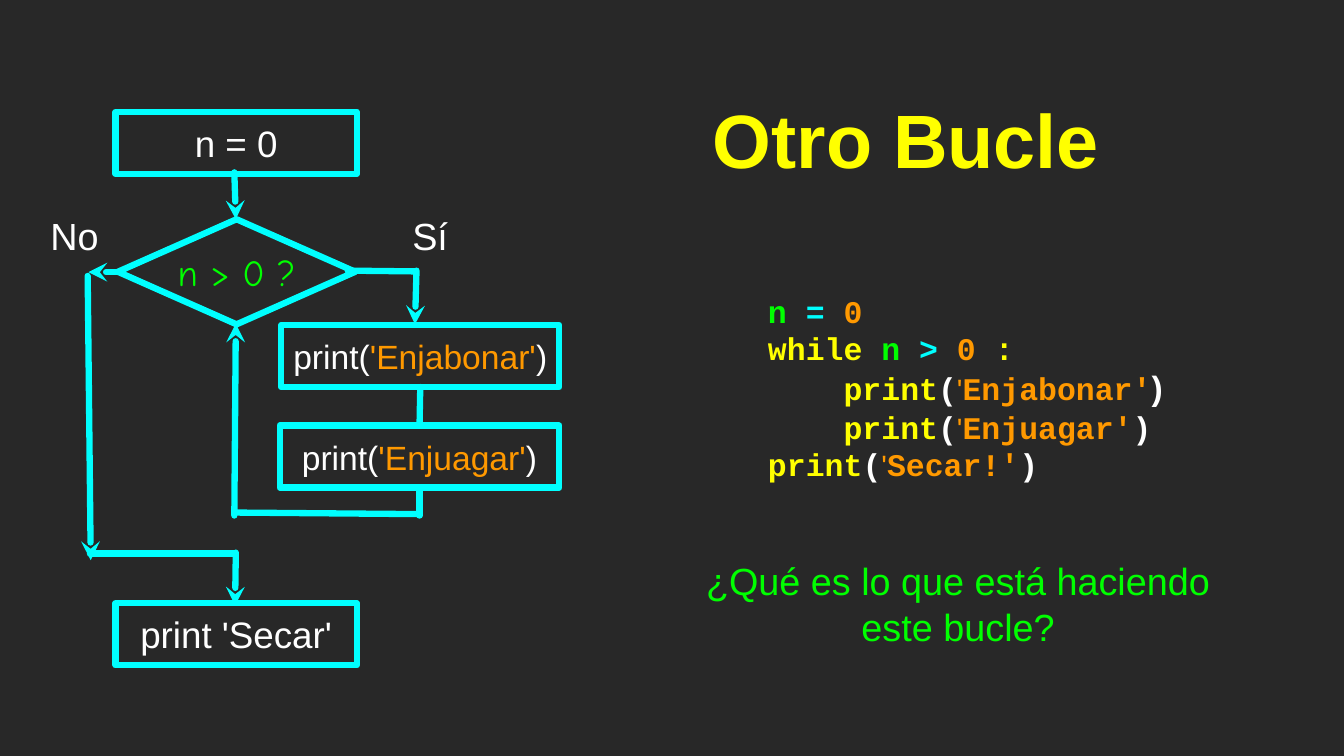
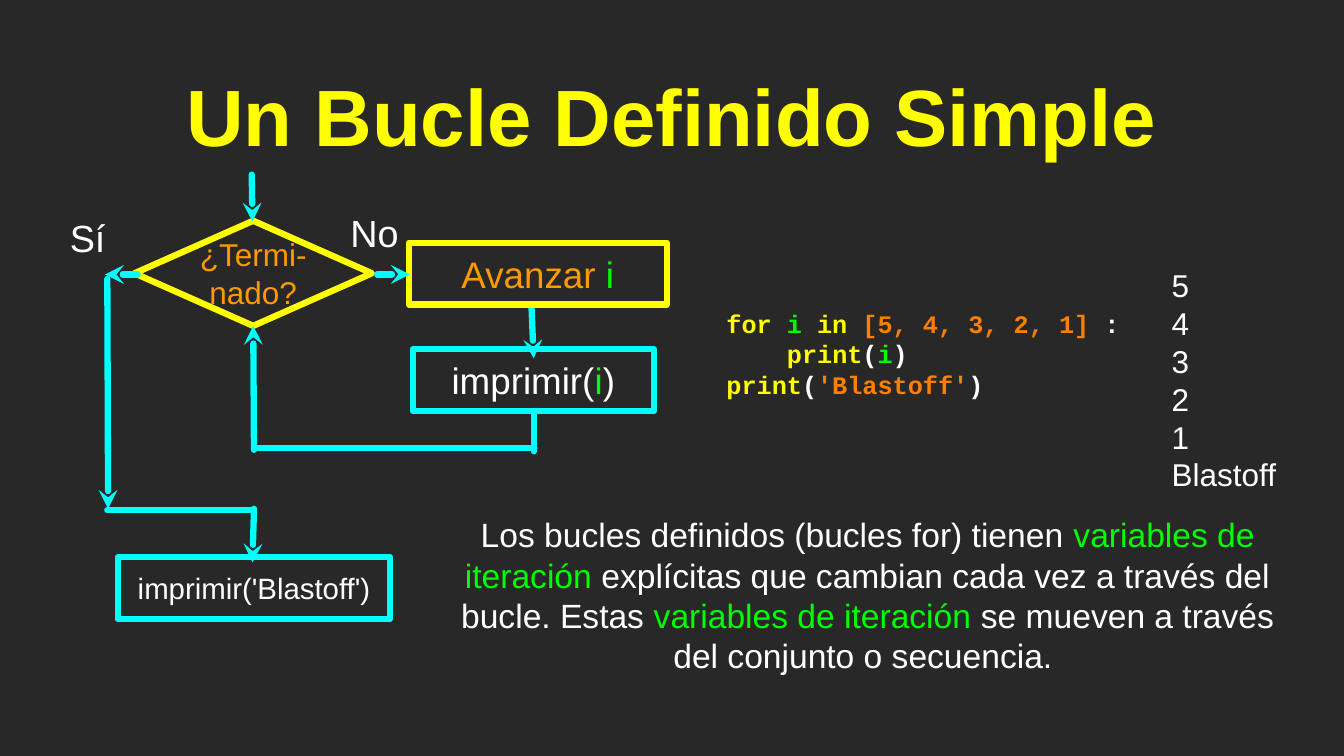
from lxml import etree
from pptx import Presentation
from pptx.dml.color import RGBColor
from pptx.enum import shapes, text
from pptx.oxml import ns
from pptx.util import Inches, Pt

# Shared style
DARK = RGBColor(0x28, 0x28, 0x28)
WHITE = RGBColor(0xFF, 0xFF, 0xFF)
YELLOW = RGBColor(0xFF, 0xFF, 0x00)
CYAN = RGBColor(0x00, 0xFF, 0xFF)
GREEN = RGBColor(0x00, 0xFF, 0x00)
AMBER = RGBColor(0xFF, 0x99, 0x00)
ORANGE = RGBColor(0xFF, 0x7F, 0x00)
SANS, MONO, HAND = "Arial", "Courier New", "Comic Neue"
STROKE = 6
BOX_H = 0.82
LABEL_H = 0.68
DIAMOND_SIZE = (3.14, 1.39)
INDENT_CHARS = 4
MONO_ADVANCE = 0.6  # character width in ems
LINE_PITCH = 1.2  # line height in ems
CENTER, LEFT = text.PP_ALIGN.CENTER, text.PP_ALIGN.LEFT
ARROW = True

# Run overrides used inside the code
QUOTE = {"size": 28, "font": SANS, "bold": False}
PAREN = {"size": 32, "font": SANS}


def print_call(word, closing=None):
    return [("print", YELLOW), ("(", WHITE), ("'", AMBER, QUOTE),
            (word + "'", AMBER), (")", WHITE, closing or {})]


# Content: a run is (text, colour[, overrides]); a line is (x1, y1, x2, y2[, ARROW])
SLIDES = [
    {
        "title": ("Otro Bucle", 72, (7.47, 0.89, 9.03, 1.88)),
        "diamond": ((1.56, 2.9), CYAN, ("n > 0 ?", GREEN), 35, HAND),
        "lines": [
            (3.1, 2.28, 3.12, 2.9, ARROW),
            (3.1, 6.82, 3.12, 4.28, ARROW),
            (5.49, 3.59, 4.6, 3.58),
            (5.51, 3.58, 5.49, 4.29, ARROW),
            (5.55, 6.45, 5.55, 6.82),
            (3.12, 6.78, 5.51, 6.8),
            (1.6, 3.6, 1.17, 3.6, ARROW),
            (3.12, 7.31, 3.11, 8.01, ARROW),
            (1.16, 3.65, 1.2, 7.41, ARROW),
            (1.19, 7.32, 3.1, 7.32),
        ],
        "boxes": [  # left, top, width, outline, size, runs
            (1.53, 7.98, 3.19, CYAN, 35, [("print 'Secar'", WHITE)]),
            (1.53, 1.48, 3.19, CYAN, 35, [("n = 0", WHITE)]),
            (3.72, 4.3, 3.68, CYAN, 32,
             [("print(", WHITE), ("'Enjabonar'", AMBER), (")", WHITE)]),
            (3.7, 5.63, 3.7, CYAN, 32,
             [("print(", WHITE), ("'Enjuagar'", AMBER), (")", WHITE)]),
        ],
        "labels": [("No", 0.59, 2.77, 0.79), ("Sí", 5.1, 2.77, 1.18)],
        "code": ((10.16, 3.61, 5.49, 3.03), 30, [  # (indent level, runs)
            (0, [("n ", GREEN), ("= ", CYAN), ("0", AMBER)]),
            (0, [("while ", YELLOW), ("n ", GREEN), ("> ", CYAN),
                 ("0", AMBER), (" :", YELLOW)]),
            (1, print_call("Enjabonar", PAREN)),
            (1, print_call("Enjuagar")),
            (0, print_call("Secar!")),
        ]),
        "texts": [  # place, size, alignment, paragraphs
            ((9.23, 7.64, 6.89, 0.68), 36, CENTER,
             [[("¿Qué es lo que está haciendo este bucle?", GREEN)]]),
        ],
        "top_lines": [(5.56, 5.12, 5.55, 5.63)],
    },
    {
        "title": ("Un Bucle Definido Simple", 76, (1.26, 0.89, 15.24, 1.24)),
        "diamond": ((1.78, 2.92), YELLOW, ("¿Termi-nado?", AMBER), 30, SANS),
        "lines": [
            (3.33, 2.31, 3.34, 2.93, ARROW),
            (3.36, 5.95, 3.35, 4.31, ARROW),
            (7.03, 4.03, 7.06, 4.74, ARROW),
            (7.06, 5.44, 7.06, 5.97),
            (3.36, 5.93, 7.07, 5.93),
            (1.82, 3.63, 1.39, 3.63, ARROW),
            (3.36, 6.73, 3.34, 7.44, ARROW),
            (1.42, 3.69, 1.43, 6.73, ARROW),
            (1.42, 6.75, 3.34, 6.75),
        ],
        "boxes": [
            (1.56, 7.37, 3.6, CYAN, 28, [("imprimir('Blastoff')", WHITE)]),
            (5.46, 4.62, 3.19, CYAN, 35,
             [("imprimir(", WHITE), ("i", GREEN), (")", WHITE)]),
            (5.41, 3.21, 3.41, YELLOW, 35, [("Avanzar ", AMBER), ("i", GREEN)]),
        ],
        "labels": [("Sí", 0.71, 2.8, 0.9), ("No", 4.56, 2.73, 0.79)],
        "code": ((9.61, 3.77, 5.58, 1.82), 24, [
            (0, [("for ", YELLOW), ("i ", GREEN), ("in ", YELLOW),
                 ("[5, 4, 3, 2, 1] ", ORANGE), (":", WHITE)]),
            (1, [("print", YELLOW), ("(", WHITE), ("i", GREEN), (")", WHITE)]),
            (0, [("print", YELLOW), ("(", WHITE), ("'Blastoff'", ORANGE),
                 (")", WHITE)]),
        ]),
        "texts": [
            ((15.5, 3.26, 2.16, 3.53), 30, LEFT,
             [[(word, WHITE)] for word in ("5", "4", "3", "2", "1", "Blastoff")]),
            ((5.94, 6.96, 11.08, 1.82), 32, CENTER, [[
                ("Los bucles definidos (bucles for) tienen ", WHITE),
                ("variables de iteración ", GREEN),
                ("explícitas que cambian cada vez a través del bucle. Estas ", WHITE),
                ("variables de iteración", GREEN),
                (" se mueven a través del conjunto o secuencia. ", WHITE),
            ]]),
        ],
        "top_lines": [(4.99, 3.63, 5.42, 3.63, ARROW)],
    },
]


def write(sp, paragraphs, size, font=SANS, bold=False, align=CENTER, inset=0):
    """Fill a shape with paragraphs of coloured runs, centred vertically."""
    tf = sp.text_frame
    tf.word_wrap = True
    tf.vertical_anchor = text.MSO_ANCHOR.MIDDLE
    tf.margin_left = tf.margin_right = Inches(inset)
    tf.margin_top = tf.margin_bottom = Inches(inset)
    for i, runs in enumerate(paragraphs):
        p = tf.add_paragraph() if i else tf.paragraphs[0]
        p.alignment = align
        p.font.size, p.font.name, p.font.bold = Pt(size), font, bold
        for content, color, *extra in runs:
            r = p.add_run()
            r.text = content
            r.font.color.rgb = color
            for override in extra:
                if "size" in override:
                    r.font.size = Pt(override["size"])
                if "font" in override:
                    r.font.name = override["font"]
                if "bold" in override:
                    r.font.bold = override["bold"]
    return tf


def space_lines(tf, size):
    for p in tf.paragraphs:
        largest = max([size] + [r.font.size.pt for r in p.runs if r.font.size])
        p.line_spacing = Pt(largest * LINE_PITCH)


def add_text(slide, place, paragraphs, size, **style):
    sp = slide.shapes.add_textbox(*map(Inches, place))
    return write(sp, paragraphs, size, **style)


def stroke(sp, color):
    """Give a shape or connector the thick round outline."""
    sp.line.color.rgb = color
    sp.line.width = Pt(STROKE)
    ln = sp.line._get_or_add_ln()
    ln.set("cap", "rnd")
    etree.SubElement(ln, ns.qn("a:round"))
    return ln


def add_node(slide, kind, place, outline, runs, size, font=SANS):
    sp = slide.shapes.add_shape(kind, *map(Inches, place))
    sp.shadow.inherit = False
    sp.fill.background()
    stroke(sp, outline)
    return write(sp, [runs], size, font)


def add_line(slide, x1, y1, x2, y2, arrow=False):
    line = slide.shapes.add_connector(
        shapes.MSO_CONNECTOR.STRAIGHT, *map(Inches, (x1, y1, x2, y2)))
    ln = stroke(line, CYAN)
    if arrow:
        etree.SubElement(ln, ns.qn("a:tailEnd"), type="stealth")
    etree.SubElement(line._element.spPr, ns.qn("a:effectLst"))


def add_code(slide, place, size, rows):
    tf = add_text(slide, place, [runs for _, runs in rows], size,
                  font=MONO, bold=True, align=LEFT)
    space_lines(tf, size)
    step = Pt(size * MONO_ADVANCE * INDENT_CHARS)
    for p, (level, _) in zip(tf.paragraphs, rows):
        if level:
            p._p.get_or_add_pPr().set("marL", str(level * step))


def build(prs, data):
    slide = prs.slides.add_slide(prs.slide_layouts[6])
    slide.background.fill.solid()
    slide.background.fill.fore_color.rgb = DARK

    # Title and code
    title, size, place = data["title"]
    add_text(slide, place, [[(title, YELLOW)]], size, bold=True, inset=0.04)
    add_code(slide, *data["code"])

    # Flowchart
    corner, outline, run, size, font = data["diamond"]
    tf = add_node(slide, shapes.MSO_SHAPE.DIAMOND, corner + DIAMOND_SIZE,
                  outline, [run], size, font)
    space_lines(tf, size)
    for line in data["lines"]:
        add_line(slide, *line)
    for left, top, width, outline, size, runs in data["boxes"]:
        add_node(slide, shapes.MSO_SHAPE.RECTANGLE, (left, top, width, BOX_H),
                 outline, runs, size)
    for label, left, top, width in data["labels"]:
        add_text(slide, (left, top, width, LABEL_H), [[(label, WHITE)]], 36)
    for line in data["top_lines"]:
        add_line(slide, *line)

    # Output and explanations
    for place, size, align, paragraphs in data["texts"]:
        tf = add_text(slide, place, paragraphs, size, align=align)
        space_lines(tf, size)


def main():
    prs = Presentation()
    prs.slide_width, prs.slide_height = Inches(17.78), Inches(10)
    for data in SLIDES:
        build(prs, data)
    prs.save("out.pptx")


if __name__ == "__main__":
    main()
